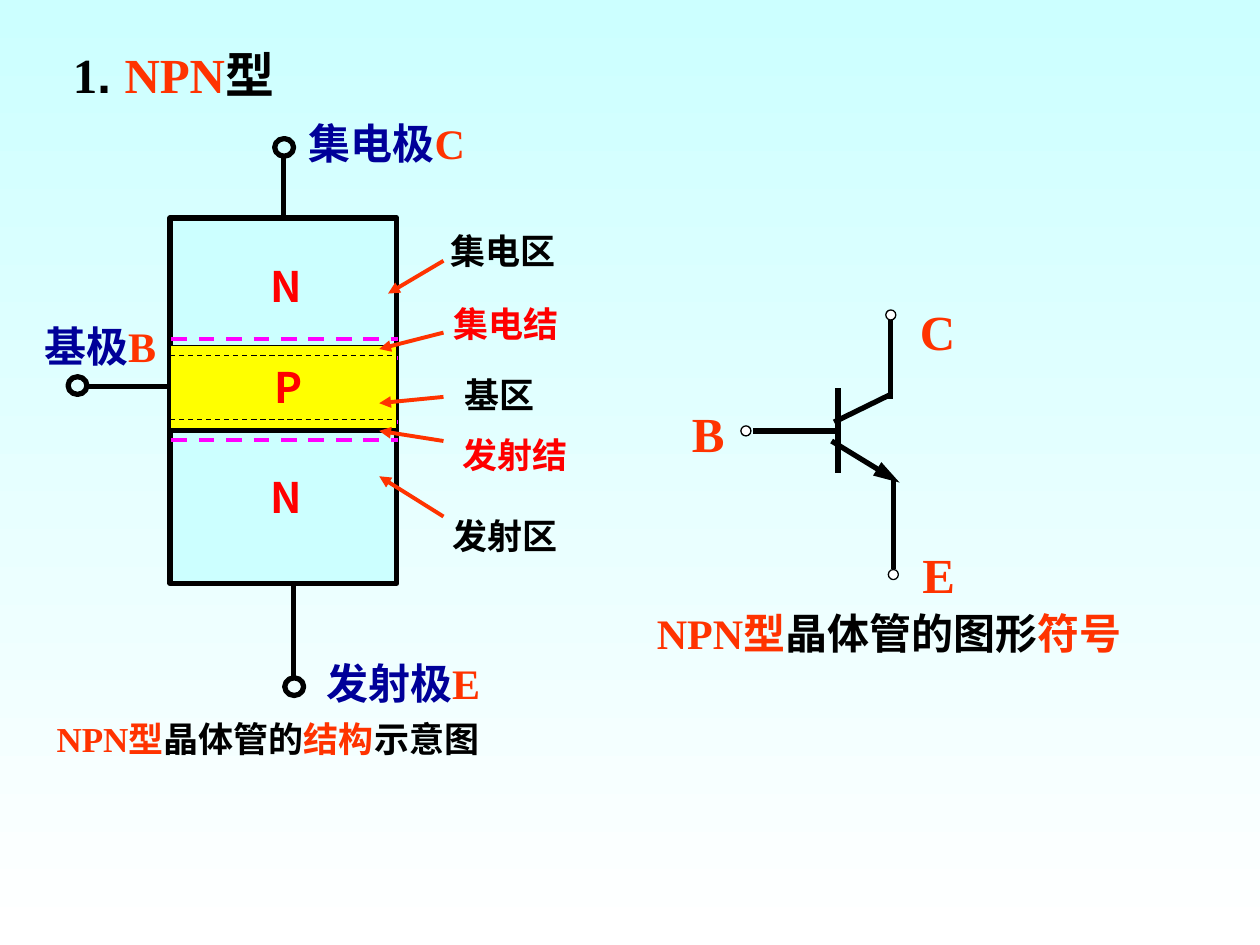
from lxml import etree
from pptx import Presentation
from pptx.dml.color import RGBColor
from pptx.enum import dml, shapes, text
from pptx.oxml.ns import qn
from pptx.util import Inches, Pt

hue = RGBColor.from_string
kind = shapes.MSO_SHAPE
deck = Presentation()
deck.slide_width, deck.slide_height = Inches(10), Inches(7.5)
slide = deck.slides.add_slide(deck.slide_layouts[6])
items = slide.shapes

back = slide.background.fill
back.gradient()
back.gradient_angle = 270
for stop, color, place in zip(back.gradient_stops, ("CCFFFF", "FFFFFF"), (0, 1)):
    stop.color.rgb = hue(color)
    stop.position = place


def wire(x1, y1, x2, y2, color="000000", width=3, dash=False, tip=None, size="med"):
    line = items.add_connector(shapes.MSO_CONNECTOR.STRAIGHT,
                               Inches(x1), Inches(y1), Inches(x2), Inches(y2))
    line.line.color.rgb = hue(color)
    line.line.width = Pt(width)
    if dash:
        line.line.dash_style = dml.MSO_LINE.DASH
    if tip:
        etree.SubElement(line.line._get_or_add_ln(), qn("a:" + tip), type="triangle", len=size)
    etree.SubElement(line._element.spPr, qn("a:effectLst"))
    return line


def label(x, y, w, h, size, runs, face="Times New Roman", align="CENTER", wrap=False):
    box = items.add_textbox(Inches(x), Inches(y), Inches(w), Inches(h))
    frame = box.text_frame
    frame.word_wrap = wrap
    frame.vertical_anchor = text.MSO_ANCHOR.MIDDLE
    para = frame.paragraphs[0]
    para.alignment = getattr(text.PP_ALIGN, align)
    para.font.name = face
    para.font.size = Pt(size)
    para.font.bold = True
    for words, color in runs:
        run = para.add_run()
        run.text = words
        run.font.color.rgb = hue(color)
        etree.SubElement(run._r.get_or_add_rPr(), qn("a:ea"), typeface="Noto Sans CJK SC")
    return para


forms = {}
for name, form, x, y, w, h, fill, width in (
    ("base", kind.OVAL, 5.88, 3.38, 0.08, 0.08, "FFFFFF", 0.75),
    ("emit", kind.OVAL, 7.05, 4.52, 0.08, 0.08, "FFFFFF", 0.75),
    ("coll", kind.OVAL, 7.03, 2.46, 0.08, 0.08, "FFFFFF", 0.75),
    ("left", kind.OVAL, 0.54, 2.99, 0.15, 0.14, None, 3),
    ("top", kind.OVAL, 2.18, 1.1, 0.15, 0.14, None, 3),
    ("foot", kind.OVAL, 2.26, 5.38, 0.15, 0.14, None, 3),
    ("body", kind.RECTANGLE, 1.35, 1.73, 1.8, 2.9, "CCFFFF", 3),
    ("layer", kind.RECTANGLE, 1.35, 2.74, 1.8, 0.66, "FFFF00", 0.75),
):
    if name == "layer":
        for level in (2.77, 3.42):
            wire(1.36, level, 3.16, level, width=2.25)
        for level in (2.69, 2.84, 3.35, 3.49):
            wire(1.36, level, 3.16, level, "FF00FF", 2.25, True)
    shape = items.add_shape(form, Inches(x), Inches(y), Inches(w), Inches(h))
    shape.shadow.inherit = False
    if fill:
        shape.fill.solid()
        shape.fill.fore_color.rgb = hue(fill)
    else:
        shape.fill.background()
    shape.line.color.rgb = hue("000000")
    shape.line.width = Pt(width)
    forms[name] = shape

for y in (2.82, 3.33):
    wire(1.35, y, 3.14, y, width=0.75, dash=True)

wire(2.25, 1.73, 2.25, 1.24).begin_connect(forms["body"], 0)
wire(1.35, 3.07, 0.69, 3.07).begin_connect(forms["layer"], 1)
wire(2.33, 4.65, 2.33, 5.38)

for x1, y1, x2, y2 in ((3.08, 2.33, 3.52, 2.07), (3.01, 2.77, 3.52, 2.64),
                       (3.01, 3.2, 3.52, 3.15), (3.01, 3.42, 3.52, 3.5),
                       (3.01, 3.78, 3.52, 4.1)):
    wire(x1, y1, x2, y2, "FF3300", 2.25, tip="headEnd")

for ends in ((6.65, 3.08, 6.65, 3.75), (6.62, 3.35, 7.07, 3.13), (7.07, 2.54, 7.07, 3.17),
             (7.09, 3.81, 7.09, 4.52), (5.98, 3.42, 6.64, 3.42)):
    wire(*ends)
wire(6.6, 3.5, 7.14, 3.83, tip="tailEnd", size="lg")

title = label(0.48, 0.3, 2.61, 0.57, 28,
              [("1", "000000"), (". ", "000000"), ("NPN", "FF3300"), ("型", "000000")],
              align="LEFT", wrap=True)
title.runs[1].font.name = "Arial"

for x, y, w, words in ((7.2, 2.34, 0.48, "C"), (5.39, 3.15, 0.46, "B"), (7.22, 4.27, 0.46, "E")):
    label(x, y, w, 0.57, 28, [(words, "FF3300")])
for x, y, w, words, pole in ((2.31, 0.88, 1.52, "集电极", "C"), (0.21, 2.49, 1.17, "基极", "B"),
                             (2.45, 5.17, 1.5, "发射极", "E")):
    label(x, y, w, 0.5, 24, [(words, "000099"), (pole, "FF3300")])
for x, y, words, color in ((3.48, 1.77, "集电区", "000000"), (3.5, 2.35, "集电结", "FF0000"),
                           (3.59, 2.91, "基区", "000000"), (3.57, 3.39, "发射结", "FF0000"),
                           (3.49, 4.03, "发射区", "000000")):
    label(x, y, 1.2, 0.44, 20, [(words, color)], align="LEFT", wrap=True)
for x, y, w, words in ((2.04, 2.02, 0.47, "N"), (2.08, 2.82, 0.41, "P"), (2.04, 3.69, 0.47, "N")):
    label(x, y, w, 0.5, 24, [(words, "FF0000")], face="Noto Sans CJK SC")

label(4.95, 4.77, 4.21, 0.5, 24,
      [("NPN型", "FF3300"), ("晶体管的图形", "000000"), ("符号", "FF3300")], wrap=True)
label(0.35, 5.64, 4.01, 0.44, 20,
      [("NPN型", "FF3300"), ("晶体管的", "000000"), ("结构", "FF3300"), ("示意图", "000000")],
      align="LEFT", wrap=True)

deck.save("out.pptx")
